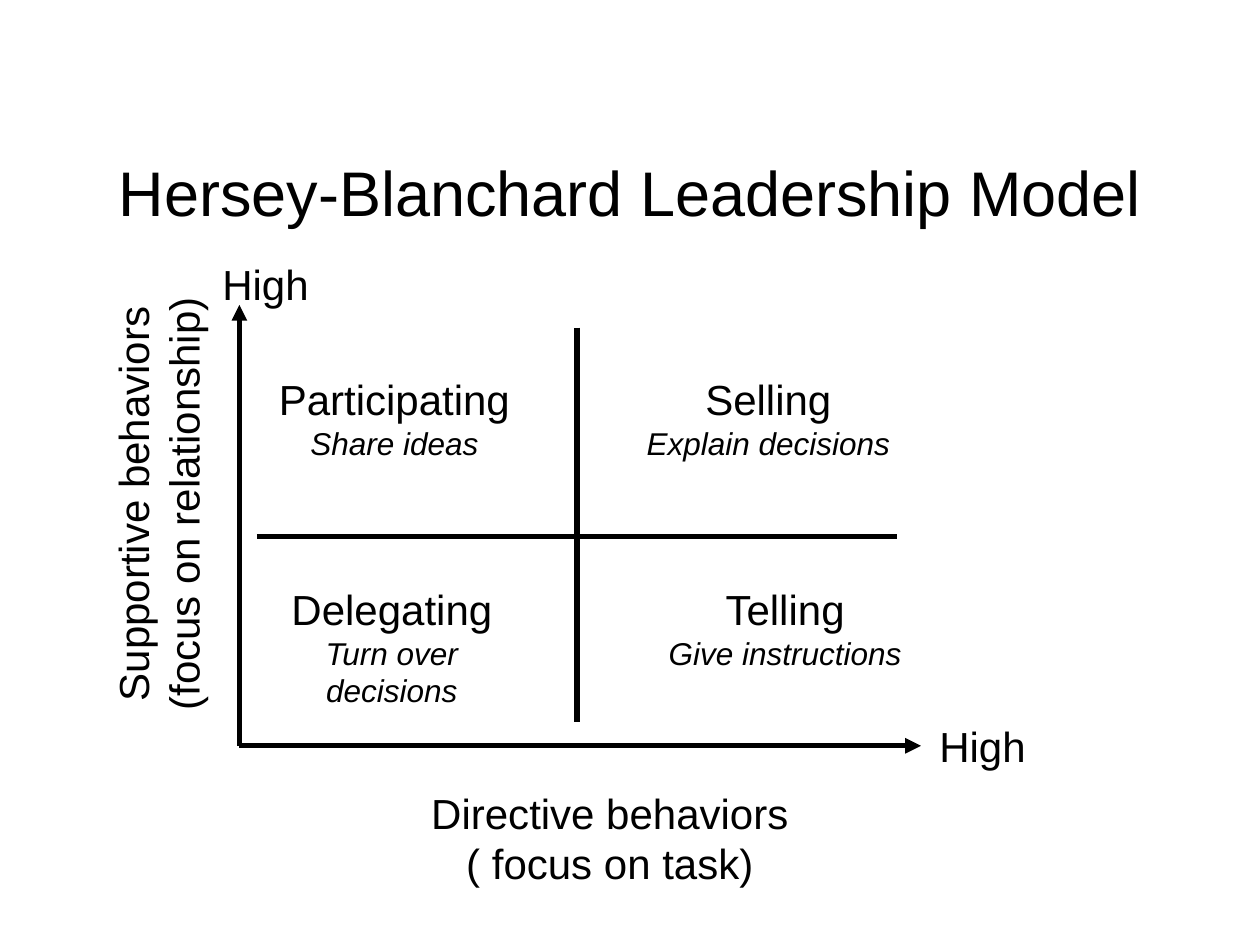
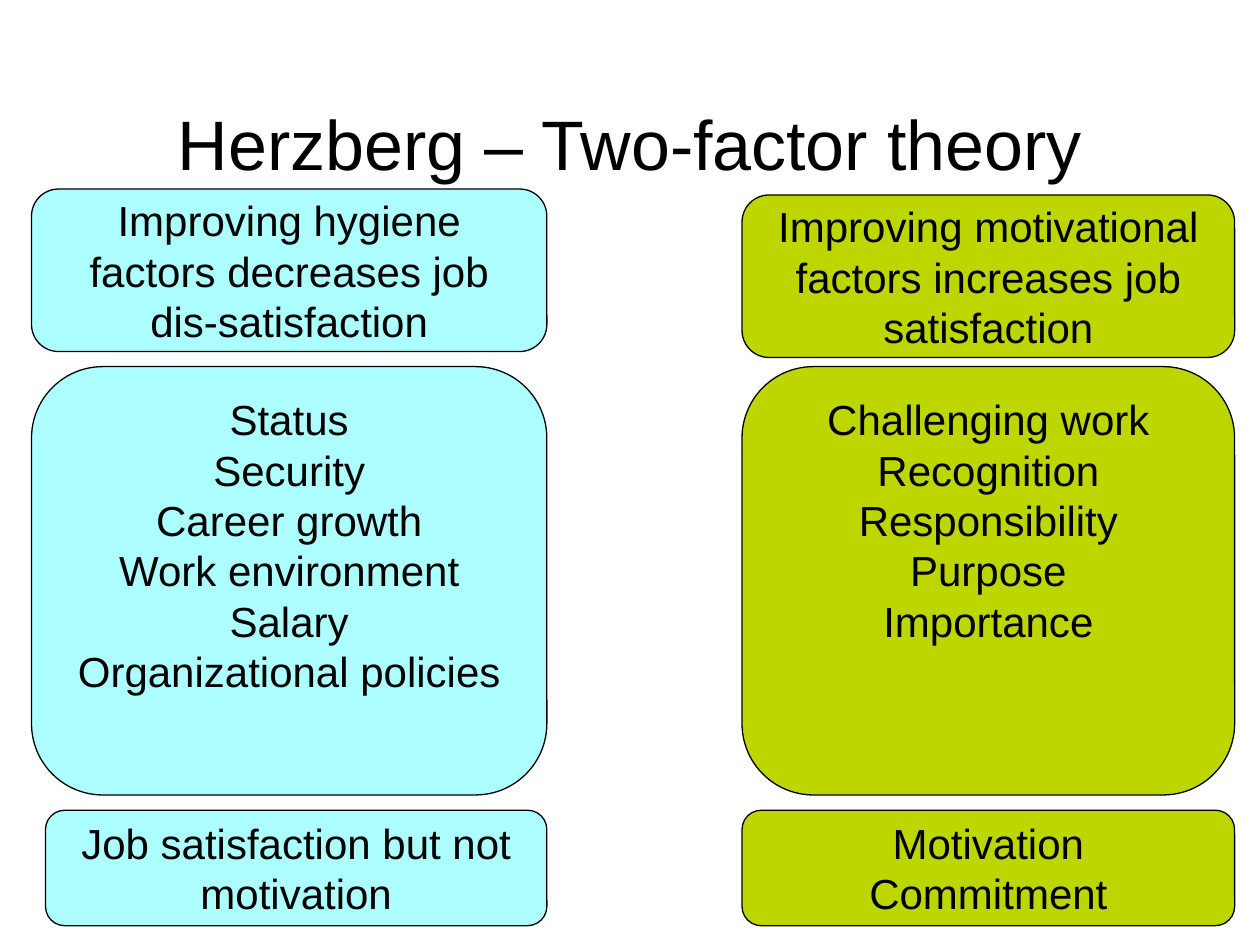
from dataclasses import dataclass
from lxml.etree import SubElement
from pptx import Presentation
from pptx.dml.color import RGBColor
from pptx.enum.shapes import MSO_CONNECTOR, MSO_SHAPE
from pptx.enum.text import MSO_ANCHOR, PP_ALIGN
from pptx.oxml.ns import qn
from pptx.util import Pt


@dataclass(frozen=True)
class Theme:
    font: str = "Arial"
    ink: RGBColor = RGBColor(0x00, 0x00, 0x00)
    hygiene: RGBColor = RGBColor(0xAD, 0xFF, 0xFF)
    motivation: RGBColor = RGBColor(0xBE, 0xD6, 0x00)
    label_size: float = 24
    note_size: float = 18
    axis_width: float = 3
    outline_width: float = 0.75


THEME = Theme()


def write(frame, lines, size=THEME.label_size, align=PP_ALIGN.CENTER,
          anchor=MSO_ANCHOR.TOP, wrap=True):
    frame.word_wrap = wrap
    frame.vertical_anchor = anchor
    for index, line in enumerate(lines):
        paragraph = frame.paragraphs[0] if index == 0 else frame.add_paragraph()
        paragraph.text = line
        paragraph.alignment = align
        paragraph.font.name = THEME.font
        paragraph.font.size = Pt(size)
        paragraph.font.color.rgb = THEME.ink


def add_label(slide, left, top, width, height, lines, **style):
    label = slide.shapes.add_textbox(Pt(left), Pt(top), Pt(width), Pt(height))
    write(label.text_frame, lines, **style)
    return label


def add_title(slide, text, top, size):
    add_label(slide, 36, top, 648, 78, [text], size=size)


def add_line(slide, start, end, arrow=False):
    line = slide.shapes.add_connector(
        MSO_CONNECTOR.STRAIGHT, *(Pt(value) for value in (*start, *end)))
    line.line.color.rgb = THEME.ink
    line.line.width = Pt(THEME.axis_width)
    properties = line._element.spPr
    if arrow:
        SubElement(properties.find(qn("a:ln")), qn("a:tailEnd"), type="triangle")
    SubElement(properties, qn("a:effectLst"))


def add_quadrant(slide, left, top, width, style_name, behavior):
    quadrant = add_label(slide, left, top, width, 58, [style_name, behavior])
    note = quadrant.text_frame.paragraphs[1]
    note.font.size = Pt(THEME.note_size)
    note.font.italic = True


def add_axes(slide, left, top, width, height):
    origin = (left, top + height)
    add_line(slide, origin, (left, top), arrow=True)
    add_line(slide, origin, (left + width, top + height), arrow=True)
    for high_left, high_top in ((left - 17.3, top - 30.2),
                                (left + width + 2.9, top + height - 18)):
        add_label(slide, high_left, high_top, 64, 36, ["High"],
                  align=PP_ALIGN.RIGHT, wrap=False)
    add_label(slide, left + 102.2, top + height + 20.2, 219, 64.8,
              ["Directive behaviors", "( focus on task)"], wrap=False)
    supportive = add_label(
        slide, left - 172.1, top + 81.4, 250.6, 64.8,
        ["Supportive behaviors", "(focus on relationship)"],
        anchor=MSO_ANCHOR.MIDDLE, wrap=False)
    supportive.rotation = 270


def add_matrix(slide, left, top, width, height):
    add_axes(slide, left, top, width, height)
    divider_x, divider_y = left + 193, top + 132.5
    add_line(slide, (divider_x, top + 13), (divider_x, top + height - 13.7))
    add_line(slide, (left + 10, divider_y), (left + width - 13.7, divider_y))
    upper, lower = top + 36, top + 155.5
    add_quadrant(slide, left - 10.8, upper, 198.7, "Participating", "Share ideas")
    add_quadrant(slide, left + 195.8, upper, 213, "Selling", "Explain decisions")
    add_quadrant(slide, left + 10.8, lower, 152.6, "Delegating", "Turn over decisions")
    add_quadrant(slide, left + 208.1, lower, 207.4, "Telling", "Give instructions")


def add_card(slide, left, top, width, height, fill, lines, anchor=MSO_ANCHOR.MIDDLE):
    card = slide.shapes.add_shape(MSO_SHAPE.ROUNDED_RECTANGLE,
                                  Pt(left), Pt(top), Pt(width), Pt(height))
    card.shadow.inherit = False
    card.fill.solid()
    card.fill.fore_color.rgb = fill
    card.line.color.rgb = THEME.ink
    card.line.width = Pt(THEME.outline_width)
    write(card.text_frame, lines, anchor=anchor)


def add_factor_column(slide, left, top, width, fill, effect, factors, outcome,
                      effect_drop=0, outcome_indent=0):
    add_card(slide, left, top + effect_drop, width, 92.9, fill, [effect])
    add_card(slide, left, top + 101.5, width, 244.8, fill, factors, MSO_ANCHOR.TOP)
    add_card(slide, left + outcome_indent, top + 355, width - outcome_indent, 66,
             fill, outcome)


def build_leadership_slide(slide):
    add_title(slide, "Hersey-Blanchard Leadership Model", 84, 36)
    add_matrix(slide, 136.8, 174.2, 389.5, 252)


def build_two_factor_slide(slide):
    add_title(slide, "Herzberg – Two-factor theory", 54, 40)
    add_factor_column(
        slide, 18, 108, 294.5, THEME.hygiene,
        "Improving hygiene factors decreases job dis-satisfaction",
        ["Status", "Security", "Career growth", "Work environment", "Salary",
         "Organizational policies"],
        ["Job satisfaction but not motivation"], outcome_indent=8)
    add_factor_column(
        slide, 424, 108, 281.5, THEME.motivation,
        "Improving motivational factors increases job satisfaction",
        ["Challenging work", "Recognition", "Responsibility", "Purpose",
         "Importance"],
        ["Motivation", "Commitment"], effect_drop=3.4)


def main():
    deck = Presentation()
    deck.slide_width, deck.slide_height = Pt(720), Pt(540)
    blank = deck.slide_layouts[6]
    for build in (build_leadership_slide, build_two_factor_slide):
        build(deck.slides.add_slide(blank))
    deck.save("out.pptx")


if __name__ == "__main__":
    main()
